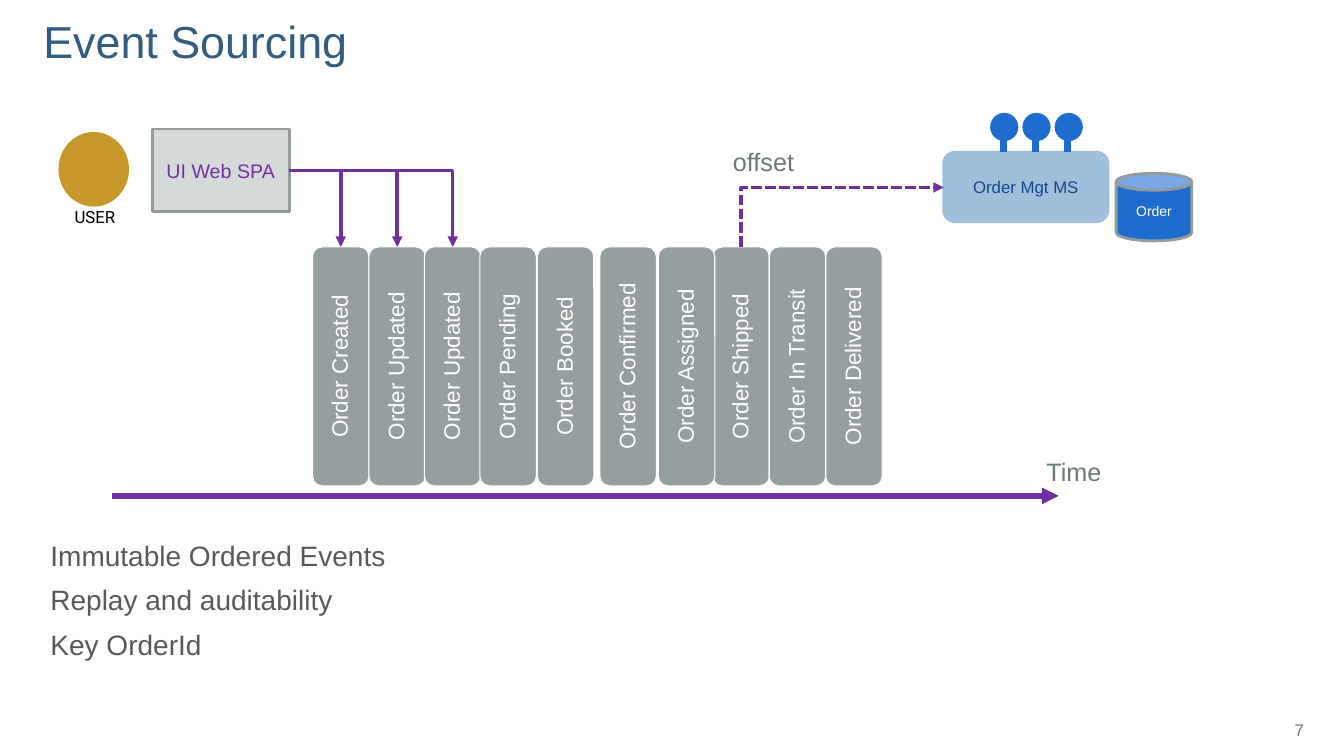
from lxml.etree import SubElement
from pptx import Presentation
from pptx.dml.color import RGBColor
from pptx.enum.dml import MSO_LINE
from pptx.enum.shapes import MSO_CONNECTOR, MSO_SHAPE
from pptx.enum.text import MSO_ANCHOR, MSO_AUTO_SIZE, PP_ALIGN
from pptx.oxml.ns import qn
from pptx.util import Inches, Pt

PURPLE, BLUE, GRAY, WHITE = "7030A0", "1E6DCE", "6D7777", "FFFFFF"


def color(value):
    """Turn a hex string into a colour."""
    return RGBColor.from_string(value)


class Board:
    """Draws styled elements on one slide."""

    font = "Arial"

    def __init__(self, slide):
        self.shapes = slide.shapes

    def fill_text(self, frame, lines, size, ink, align=PP_ALIGN.LEFT, spacing=None, before=0, font=None):
        """Fill a text frame with one paragraph per line."""
        for index, line in enumerate(lines):
            paragraph = frame.paragraphs[0] if index == 0 else frame.add_paragraph()
            paragraph.text = line
            paragraph.alignment = align
            if spacing:
                paragraph.line_spacing = spacing
            if index and before:
                paragraph.space_before = Pt(before)
            paragraph.font.name = font or self.font
            paragraph.font.size = Pt(size)
            paragraph.font.color.rgb = color(ink)

    def inset(self, frame, left, top, right, bottom):
        """Set the four margins of a text frame."""
        frame.margin_left, frame.margin_top = Inches(left), Inches(top)
        frame.margin_right, frame.margin_bottom = Inches(right), Inches(bottom)

    def text(self, box, lines, size, ink, margins=(0.1, 0.05, 0.1, 0.05),
             anchor=MSO_ANCHOR.TOP, wrap=True, **style):
        """Add a text box."""
        frame = self.shapes.add_textbox(*map(Inches, box)).text_frame
        frame.word_wrap = wrap
        if not wrap:
            frame.auto_size = MSO_AUTO_SIZE.SHAPE_TO_FIT_TEXT
        frame.vertical_anchor = anchor
        self.inset(frame, *margins)
        self.fill_text(frame, lines, size, ink, **style)

    def block(self, kind, box, fill, border=None, width=2, label=None, size=12, ink=WHITE, spacing=None):
        """Add a filled preset shape with an optional centred label."""
        shape = self.shapes.add_shape(kind, *map(Inches, box))
        shape.shadow.inherit = False
        shape.fill.solid()
        shape.fill.fore_color.rgb = color(fill)
        if border:
            shape.line.color.rgb = color(border)
            shape.line.width = Pt(width)
        else:
            shape.line.fill.background()
        if label:
            shape.text_frame.vertical_anchor = MSO_ANCHOR.MIDDLE
            self.fill_text(shape.text_frame, [label], size, ink, PP_ALIGN.CENTER, spacing)
        return shape

    def event(self, left, label):
        """Add one upright event bar."""
        bar = self.block(MSO_SHAPE.ROUNDED_RECTANGLE, (left, 2.45, 0.56, 2.37), "959F9F",
                         WHITE, 0.75, f"Order {label}", 16, spacing=0.9)
        self.inset(bar.text_frame, 0, 0, 0, 0)
        bar.text_frame._txBody.bodyPr.set("vert", "vert270")

    def line(self, start, end, ink, width, arrow=True, kind=MSO_CONNECTOR.STRAIGHT):
        """Add a connector, with an arrowhead at its end if wanted."""
        connector = self.shapes.add_connector(kind, *map(Inches, start + end))
        connector.line.color.rgb = color(ink)
        connector.line.width = Pt(width)
        properties = connector.element.spPr
        if arrow:
            SubElement(properties.get_or_add_ln(), qn("a:tailEnd"), type="triangle")
        SubElement(properties, qn("a:effectLst"))
        return connector

    def elbow(self, start, end):
        """Add an arrow with a single right-angle bend."""
        connector = self.line(start, end, PURPLE, 2.5, kind=MSO_CONNECTOR.ELBOW)
        connector.element.spPr.find(qn("a:prstGeom")).set("prst", "bentConnector2")
        return connector

    def rising_elbow(self, start, end):
        """Add a dashed arrow that goes up and then right."""
        (x1, y1), (x2, y2) = start, end
        middle_x, middle_y = (x1 + x2) / 2, (y1 + y2) / 2
        half_rise, half_run = (y1 - y2) / 2, (x2 - x1) / 2
        connector = self.elbow((middle_x + half_rise, middle_y + half_run),
                               (middle_x - half_rise, middle_y - half_run))
        connector.element.spPr.find(qn("a:xfrm")).set("rot", "5400000")
        connector.line.dash_style = MSO_LINE.SQUARE_DOT


def main():
    """Build the event sourcing slide."""
    deck = Presentation()
    deck.slide_width, deck.slide_height = Inches(13.33), Inches(7.5)
    board = Board(deck.slides.add_slide(deck.slide_layouts[6]))

    board.text((0.43, 0.07, 11.91, 0.6), ["Event Sourcing"], 32, "325C80",
               (0, 0.05, 0.1, 0), MSO_ANCHOR.BOTTOM, spacing=0.85)
    board.text((0.5, 5.29, 7.3, 1.24),
               ["Immutable Ordered Events", "Replay and auditability", "Key OrderId"],
               20, "595959", (0, 0.05, 0.1, 0.05), before=8)
    board.text((12.45, 7.04, 0.58, 0.4), ["7"], 12, GRAY,
               anchor=MSO_ANCHOR.MIDDLE, align=PP_ALIGN.RIGHT)

    events = [(3.1, "Created"), (3.66, "Updated"), (4.21, "Updated"), (4.76, "Pending"),
              (5.33, "Booked"), (5.95, "Confirmed"), (7.07, "Shipped"), (7.63, "In Transit"),
              (8.19, "Delivered"), (6.53, "Assigned")]
    for left, label in events:
        board.event(left, label)
    board.line((1.11, 4.92), (10.5, 4.92), PURPLE, 4)
    board.text((10.28, 4.48, 0.75, 0.4), ["Time"], 18, GRAY, wrap=False)

    board.block(MSO_SHAPE.ROUNDED_RECTANGLE, (9.36, 1.51, 1.63, 0.69), "A0BFDA", "A0BFDA",
                label="Order Mgt MS", ink="144989")
    for pin in range(3):
        left = 9.82 + 0.32 * pin
        board.block(MSO_SHAPE.OVAL, (left, 1.12, 0.28, 0.28), BLUE)
        board.line((left + 0.13, 1.38), (left + 0.13, 1.51), BLUE, 5, arrow=False)
    board.block(MSO_SHAPE.CAN, (11.07, 1.72, 0.75, 0.67), BLUE, "949B9B", label="Order", size=10)

    board.block(MSO_SHAPE.OVAL, (0.58, 1.31, 0.7, 0.74), "C6982C")
    board.text((0.74, 2.05, 0.47, 0.2), ["USER"], 12, "000000", (0, 0, 0, 0),
               wrap=False, font="Roboto")
    board.block(MSO_SHAPE.RECTANGLE, (1.51, 1.28, 1.36, 0.82), "D5D9D9", "949B9B",
                label="UI Web SPA", size=14, ink=PURPLE)
    for left, _ in events[:3]:
        board.elbow((2.87, 1.69), (left + 0.28, 2.45))
    board.rising_elbow((7.35, 2.45), (9.36, 1.86))
    board.text((7.17, 1.4, 0.81, 0.4), ["offset"], 18, GRAY, wrap=False)

    deck.save("out.pptx")


if __name__ == "__main__":
    main()
